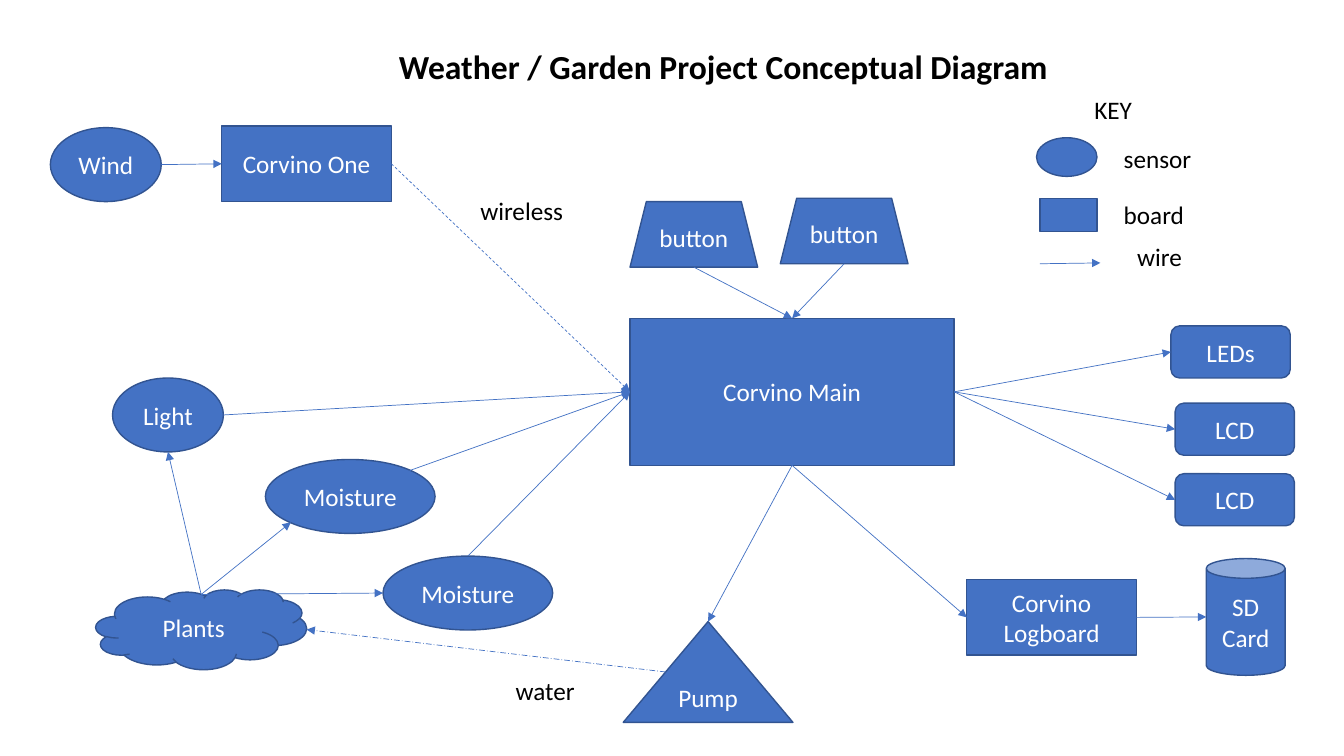
from dataclasses import dataclass
from lxml import etree
from pptx import Presentation, util as u
from pptx.dml.color import RGBColor as RGB
from pptx.enum import dml, shapes, text
from pptx.oxml import ns


@dataclass
class Theme:
    fill: RGB = RGB(0x44, 0x72, 0xC4)
    edge: RGB = RGB(0x32, 0x54, 0x91)
    light: RGB = RGB(255, 255, 255)
    dark: RGB = RGB(0, 0, 0)
    font: str = "Calibri"
    body: int = 18
    title: int = 24
    border: float = 1
    wire: float = 0.5


theme = Theme()
deck = Presentation()
deck.slide_width, deck.slide_height = u.Inches(13.333), u.Inches(7.5)
col, row = deck.slide_width / 160, deck.slide_height / 90
slide = deck.slides.add_slide(deck.slide_layouts[6])
kind, dash = shapes.MSO_SHAPE, dml.MSO_LINE


def write(frame, label, color, size=theme.body, bold=False):
    run = frame.paragraphs[0].add_run()
    run.text = label
    font = run.font
    font.name, font.size, font.bold = theme.font, u.Pt(size), bold
    font.color.rgb = color


def wire(start, end, style=None):
    (x1, y1), (x2, y2) = start, end
    line = slide.shapes.add_connector(
        shapes.MSO_CONNECTOR.STRAIGHT,
        int(x1 * col), int(y1 * row), int(x2 * col), int(y2 * row))
    line.line.color.rgb = theme.fill
    line.line.width = u.Pt(theme.wire)
    if style:
        line.line.dash_style = style
    etree.SubElement(line.line._get_or_add_ln(), ns.qn("a:tailEnd"), type="triangle")
    etree.SubElement(line._element.spPr, ns.qn("a:effectLst"))


board, oval, side = (20.2, 9), (13.2, 8.8), (14.2, 6.2)
probe, knob = (20.2, 8.8), (15.2, 7.8)
nodes = {
    "mega": (kind.RECTANGLE, 75, 37.9, (38.6, 17.5), "Corvino Main"),
    "uno": (kind.RECTANGLE, 26.4, 15, board, "Corvino One"),
    "red": (kind.RECTANGLE, 115.1, 69, board, "Corvino Logboard"),
    "card": (kind.CAN, 143.6, 66.5, (9.4, 13.9), "SD Card"),
    "wind": (kind.OVAL, 6, 15.2, oval, "Wind"),
    "light": (kind.OVAL, 13.4, 45, oval, "Light"),
    "moist1": (kind.OVAL, 31.6, 54.7, probe, "Moisture"),
    "moist2": (kind.OVAL, 45.6, 66.2, probe, "Moisture"),
    "button1": (kind.TRAPEZOID, 75, 24, knob, "button"),
    "button2": (kind.TRAPEZOID, 92.9, 23.6, knob, "button"),
    "lcd1": (kind.ROUNDED_RECTANGLE, 139.9, 48, side, "LCD"),
    "lcd2": (kind.ROUNDED_RECTANGLE, 139.9, 56.4, side, "LCD"),
    "leds": (kind.ROUNDED_RECTANGLE, 139.4, 38.8, side, "LEDs"),
    "pump": (kind.ISOSCELES_TRIANGLE, 74.2, 74, (20.2, 12), "Pump"),
    "plants": (kind.CLOUD, 11.4, 70.2, (25.1, 9.5), "Plants"),
    "sensor": (kind.OVAL, 123.4, 16.4, (7.2, 4.6), ""),
    "board": (kind.RECTANGLE, 123.8, 23.6, (6.8, 4), ""),
}
for form, x, y, (w, h), label in nodes.values():
    shape = slide.shapes.add_shape(
        form, int(x * col), int(y * row), int(w * col), int(h * row))
    shape.shadow.inherit = False
    shape.fill.solid()
    shape.fill.fore_color.rgb = theme.fill
    shape.line.color.rgb = theme.edge
    shape.line.width = u.Pt(theme.border)
    if label:
        frame = shape.text_frame
        frame.word_wrap = True
        frame.vertical_anchor = text.MSO_ANCHOR.MIDDLE
        frame.paragraphs[0].alignment = text.PP_ALIGN.CENTER
        write(frame, label, theme.light)

ports = {
    "top": (0.5, 0), "left": (0, 0.5), "base": (0.5, 1), "right": (1, 0.5),
    "crown": (0.5, 0.06), "slope": (0.25, 0.5),
    "upper": (0.85, 0.15), "lower": (0.15, 0.85),
}
links = [
    ("plants", "crown", "light", "base", None),
    ("plants", "crown", "moist1", "lower", None),
    ("plants", "crown", "moist2", "left", None),
    ("light", "right", "mega", "left", None),
    ("wind", "right", "uno", "left", None),
    ("uno", "right", "mega", "left", dash.DASH),
    ("mega", "right", "leds", "left", None),
    ("button2", "base", "mega", "top", None),
    ("mega", "base", "pump", "top", None),
    ("pump", "slope", "plants", "right", dash.LONG_DASH_DOT),
    ("mega", "base", "red", "left", None),
    ("button1", "base", "mega", "top", None),
    ("mega", "right", "lcd1", "left", None),
    ("mega", "right", "lcd2", "left", None),
    ("red", "right", "card", "left", None),
    ("moist1", "upper", "mega", "left", None),
    ("moist2", "top", "mega", "left", None),
]
for *pairs, style in links:
    ends = []
    for name, port in (pairs[:2], pairs[2:]):
        form, x, y, (w, h), label = nodes[name]
        across, down = ports[port]
        ends.append((x + w * across, y + h * down))
    wire(*ends, style)
wire((123.8, 31.4), (131, 31.3))

notes = [
    ("Weather / Garden Project Conceptual Diagram", 46.3, 4.9, 80.4, 6, theme.title, True),
    ("KEY", 129.1, 10.6, 7, 4.8, theme.body, False),
    ("sensor", 132.6, 16.5, 11, 4.8, theme.body, False),
    ("board", 132.6, 23.1, 11, 4.8, theme.body, False),
    ("wire", 134.2, 28.1, 7.8, 4.8, theme.body, False),
    ("water", 60.2, 79.8, 9.5, 4.8, theme.body, False),
    ("wireless", 56, 22.7, 12.4, 4.8, theme.body, False),
]
for label, x, y, w, h, size, bold in notes:
    box = slide.shapes.add_textbox(
        int(x * col), int(y * row), int(w * col), int(h * row))
    box.text_frame.word_wrap = label in ("sensor", "board")
    box.text_frame.auto_size = text.MSO_AUTO_SIZE.SHAPE_TO_FIT_TEXT
    write(box.text_frame, label, theme.dark, size, bold)

deck.save("out.pptx")
